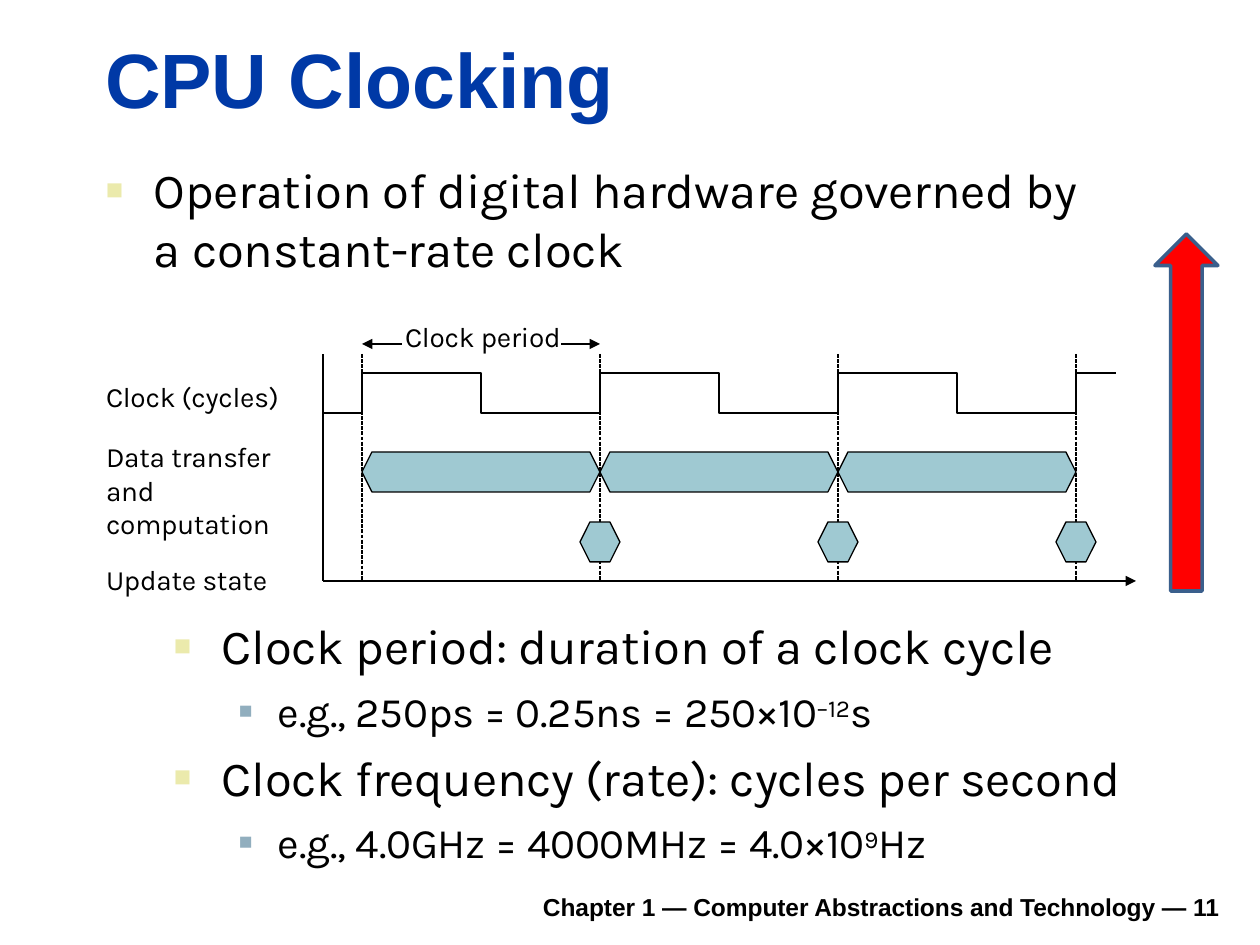
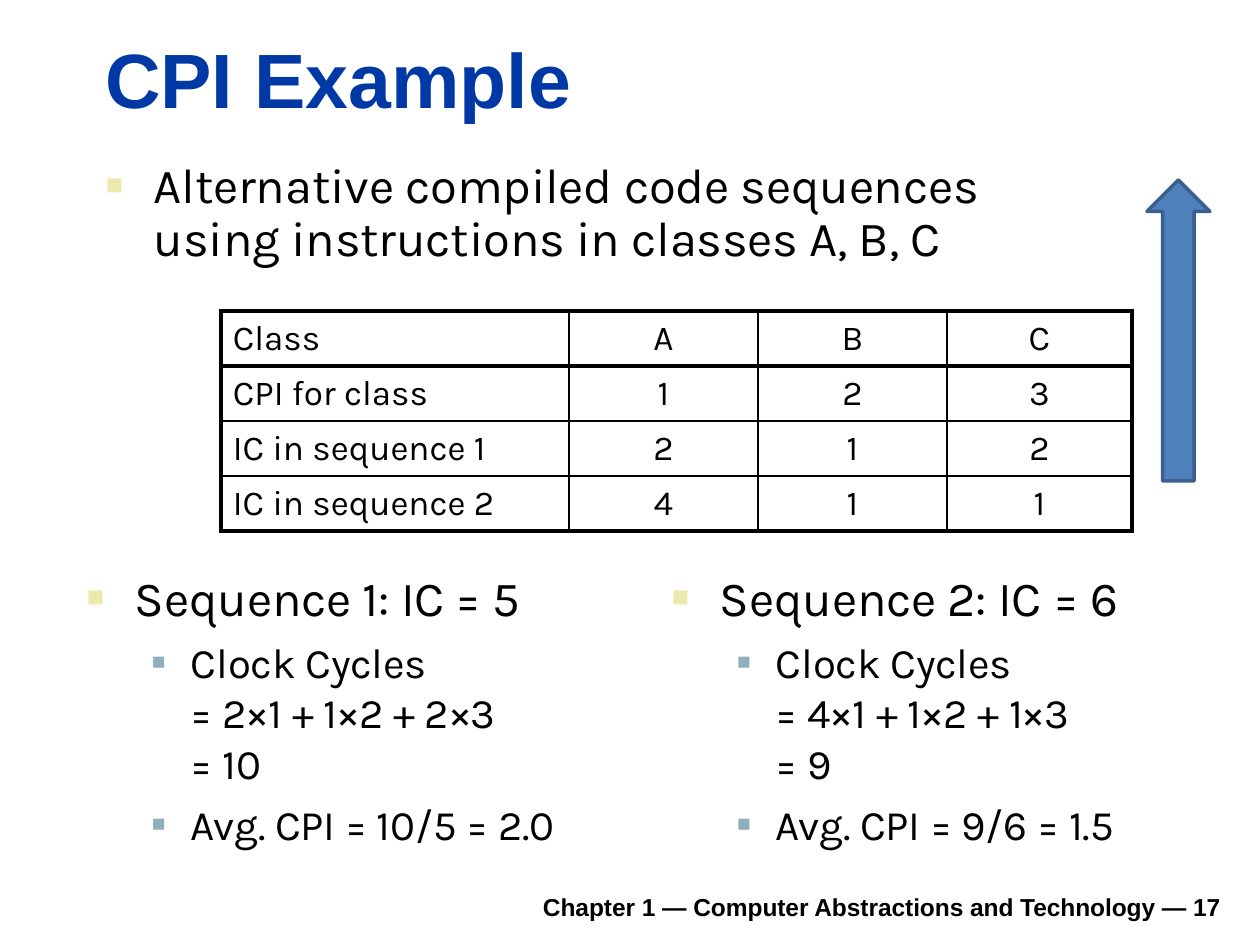
from dataclasses import dataclass

from lxml import etree
from pptx import Presentation
from pptx.dml.color import RGBColor
from pptx.enum.dml import MSO_LINE
from pptx.enum.shapes import MSO_CONNECTOR, MSO_SHAPE
from pptx.enum.text import MSO_ANCHOR, MSO_AUTO_SIZE, PP_ALIGN
from pptx.oxml.ns import qn
from pptx.util import Emu, Pt

SCALE = 914400 / 126


@dataclass(frozen=True)
class Theme:
    title_font: str = "Arial"
    body_font: str = "Karla"
    title_blue: str = "0039A6"
    ink: str = "000000"
    paper: str = "FFFFFF"
    signal_teal: str = "9FC9D2"
    arrow_red: str = "FF0000"
    arrow_blue: str = "4F81BD"
    arrow_edge: str = "3A5F8C"
    title_size: int = 44
    main_size: int = 28
    detail_size: int = 24
    table_size: int = 20
    label_size: int = 16
    footer_size: int = 14
    tracking: int = -10
    thin: float = 0.75
    rule: float = 1
    wave: float = 1.5
    heavy: float = 2.25


@dataclass(frozen=True)
class Level:
    size: int
    left: int
    hanging: int = 0
    bullet_color: str = ""
    bullet_percent: int = 0
    space_before: float = 0


THEME = Theme()
MAIN = Level(THEME.main_size, 49, 48, "EBEAAC", 59, 6.5)
DETAIL = Level(THEME.detail_size, 105, 39, "91AEBE", 54, 6)
CONTINUED = Level(THEME.detail_size, 105)


def px(length):
    return Emu(round(length * SCALE))


def px_box(*lengths):
    return [px(length) for length in lengths]


def apply_format(target, values):
    for name, value in values.items():
        setattr(target, name, value)


def add_run(paragraph, text, size, font=THEME.body_font, color=THEME.ink,
            bold=False, tracking=THEME.tracking, baseline=0):
    run = paragraph.add_run()
    run.text = text
    apply_format(run.font, {"name": font, "size": Pt(size), "bold": bold})
    run.font.color.rgb = RGBColor.from_string(color)
    properties = run.font._element
    properties.set("spc", str(tracking))
    if baseline:
        properties.set("baseline", str(baseline))


def set_frame(frame, top_margin=0):
    apply_format(frame, {
        "word_wrap": True, "auto_size": MSO_AUTO_SIZE.NONE,
        "vertical_anchor": MSO_ANCHOR.TOP,
        "margin_left": 0, "margin_right": 0, "margin_bottom": 0,
        "margin_top": px(top_margin)})
    return frame


def add_text_frame(slide, box, top_margin=0):
    return set_frame(slide.shapes.add_textbox(*px_box(*box)).text_frame, top_margin)


def next_paragraph(frame, index):
    return frame.add_paragraph() if index else frame.paragraphs[0]


def indent(paragraph, left, hanging=0, right=0):
    properties = paragraph._p.get_or_add_pPr()
    for name, length in (("marL", left), ("marR", right), ("indent", -hanging)):
        properties.set(name, str(px(length)))
    return properties


def add_bullet(properties, level):
    color = etree.SubElement(properties, qn("a:buClr"))
    etree.SubElement(color, qn("a:srgbClr"), val=level.bullet_color)
    etree.SubElement(properties, qn("a:buSzPct"), val=str(level.bullet_percent * 1000))
    etree.SubElement(properties, qn("a:buFont"), typeface=THEME.title_font)
    etree.SubElement(properties, qn("a:buChar"), char="■")


def add_outline(slide, box, items, top_margin, line_spacing=None):
    """Add (level, text) items; text between two ^ marks is raised."""
    frame = add_text_frame(slide, box, top_margin)
    for index, (level, text) in enumerate(items):
        paragraph = next_paragraph(frame, index)
        properties = indent(paragraph, level.left, level.hanging)
        if level.bullet_color:
            add_bullet(properties, level)
        if index:
            paragraph.space_before = Pt(level.space_before)
        if line_spacing:
            paragraph.line_spacing = Pt(line_spacing)
        for position, piece in enumerate(text.split("^")):
            add_run(paragraph, piece, level.size, baseline=24000 * (position % 2))


def style_shape(shape, fill=None, line=None, width=THEME.thin):
    shape.shadow.inherit = False
    if fill:
        shape.fill.solid()
        shape.fill.fore_color.rgb = RGBColor.from_string(fill)
    else:
        shape.fill.background()
    if line:
        shape.line.color.rgb = RGBColor.from_string(line)
        shape.line.width = Pt(width)
    else:
        shape.line.fill.background()


def add_shape(slide, kind, box, **style):
    style_shape(slide.shapes.add_shape(kind, *px_box(*box)), **style)


def add_line(slide, start, end, dashed=False, arrows=()):
    connector = slide.shapes.add_connector(MSO_CONNECTOR.STRAIGHT, *px_box(*start, *end))
    connector.line.color.rgb = RGBColor.from_string(THEME.ink)
    connector.line.width = Pt(THEME.thin)
    if dashed:
        connector.line.dash_style = MSO_LINE.SQUARE_DOT
    for arrow in arrows:
        etree.SubElement(connector.line._get_or_add_ln(), qn(f"a:{arrow}"), type="triangle")
    etree.SubElement(connector._element.spPr, qn("a:effectLst"))


def add_slide(presentation, title, title_width, number):
    """Add a slide with the shared title and chapter footer."""
    slide = presentation.slides.add_slide(presentation.slide_layouts[5])
    placeholder = slide.shapes.title
    apply_format(placeholder, dict(zip(("left", "top", "width", "height"),
                                       px_box(105, 23, title_width, 96))))
    paragraph = set_frame(placeholder.text_frame, 9).paragraphs[0]
    paragraph.alignment = PP_ALIGN.LEFT
    add_run(paragraph, title, THEME.title_size, THEME.title_font,
            THEME.title_blue, bold=True, tracking=0)

    footer = add_text_frame(slide, (542, 893, 690, 32)).paragraphs[0]
    footer.line_spacing = Pt(16.5)
    indent(footer, 1)
    add_run(footer, f"Chapter 1 — Computer Abstractions and Technology — {number}",
            THEME.footer_size, THEME.title_font, bold=True, tracking=-5)
    return slide


def add_up_arrow(slide, box, fill):
    add_shape(slide, MSO_SHAPE.UP_ARROW, box, fill=fill, line=THEME.arrow_edge, width=2)


def add_clock_wave(slide, left, high, low, edges, period):
    builder = slide.shapes.build_freeform(left, low, scale=SCALE)
    points = []
    for edge in edges:
        points += [(edge, low), (edge, high)]
        if edge != edges[-1]:
            points += [(edge + period // 2, high), (edge + period // 2, low)]
    points.append((edges[-1] + 40, high))
    builder.add_line_segments(points, close=False)
    style_shape(builder.convert_to_shape(), line=THEME.ink, width=THEME.wave)


def add_timing_diagram(slide, left, top):
    period, height, signal = 238, 227, 40
    bottom = top + height
    edges = [left + 39 + period * cycle for cycle in range(4)]
    for edge in edges:
        add_line(slide, (edge, top), (edge, bottom), dashed=True)
    add_line(slide, (left, bottom), (left, top))
    add_line(slide, (left, bottom), (left + 813, bottom), arrows=["tailEnd"])
    add_line(slide, (edges[0], top - 10), (edges[1], top - 10),
             arrows=["headEnd", "tailEnd"])
    add_shape(slide, MSO_SHAPE.RECTANGLE, (edges[0] + 40, top - 20, 159, 20),
              fill=THEME.paper)
    add_clock_wave(slide, left, top + 19, top + 59, edges, period)
    teal = {"fill": THEME.signal_teal, "line": THEME.ink}
    for start, end in zip(edges, edges[1:]):
        add_shape(slide, MSO_SHAPE.HEXAGON, (start, top + 98, period, signal), **teal)
        add_shape(slide, MSO_SHAPE.HEXAGON,
                  (end - signal // 2, top + 168, signal, signal), **teal)


def add_timing_labels(slide, box):
    frame = add_text_frame(slide, box, 1)
    labels = [("Clock period", 300, 0, 0), ("Clock (cycles)", 1, 266, 15),
              ("Data transfer and computation", 1, 266, 15), ("Update state", 1, 266, 12.5)]
    for index, (text, left, right, space) in enumerate(labels):
        paragraph = next_paragraph(frame, index)
        indent(paragraph, left, right=right)
        if index:
            paragraph.space_before = Pt(space)
        add_run(paragraph, text, THEME.label_size)


def set_borders(cell, widths):
    properties = cell._tc.get_or_add_tcPr()
    for side, width in zip("LRTB", widths):
        line = etree.SubElement(properties, qn(f"a:ln{side}"), w=str(Pt(width)))
        fill = etree.SubElement(line, qn("a:solidFill"))
        etree.SubElement(fill, qn("a:srgbClr"), val=THEME.ink)


def add_class_table(slide, left, top):
    rows = [("Class", "A", "B", "C"), ("CPI for class", "1", "2", "3"),
            ("IC in sequence 1", "2", "1", "2"), ("IC in sequence 2", "4", "1", "1")]
    widths, row_height = (348, 189, 189, 185), 55
    table = slide.shapes.add_table(
        len(rows), len(widths),
        *px_box(left, top, sum(widths), row_height * len(rows))).table
    apply_format(table, {"first_row": False, "horz_banding": False})
    for column, width in zip(table.columns, widths):
        column.width = px(width)
    for row_index, values in enumerate(rows):
        table.rows[row_index].height = px(row_height)
        for column_index, value in enumerate(values):
            cell = table.cell(row_index, column_index)
            heavy_sides = (column_index == 0, column_index == len(widths) - 1,
                           row_index < 2, row_index in (0, len(rows) - 1))
            set_borders(cell, [THEME.heavy if heavy else THEME.rule for heavy in heavy_sides])
            cell.fill.background()
            apply_format(cell, {
                "margin_left": px(0 if column_index else 12), "margin_right": 0,
                "margin_top": 0, "margin_bottom": 0,
                "vertical_anchor": MSO_ANCHOR.MIDDLE})
            paragraph = cell.text_frame.paragraphs[0]
            paragraph.alignment = PP_ALIGN.CENTER if column_index else PP_ALIGN.LEFT
            add_run(paragraph, value, THEME.table_size, tracking=0)


def add_sequence(slide, box, number, count, cycles, total, average):
    add_outline(slide, box, [
        (MAIN, f"Sequence {number}: IC = {count}"),
        (DETAIL, "Clock Cycles"),
        (CONTINUED, f"= {cycles}"),
        (CONTINUED, f"= {total}"),
        (DETAIL, f"Avg. CPI = {total}/{count} = {average}")], top_margin=14)


def build_clocking_slide(presentation):
    slide = add_slide(presentation, "CPU Clocking", 513, 11)
    add_timing_diagram(slide, 323, 354)
    add_outline(slide, (105, 159, 1005, 121), [
        (MAIN, "Operation of digital hardware governed by a constant-rate clock")], 1)
    add_timing_labels(slide, (105, 319, 462, 290))
    add_outline(slide, (173, 602, 960, 266), [
        (MAIN, "Clock period: duration of a clock cycle"),
        (DETAIL, "e.g., 250ps = 0.25ns = 250×10^–12^s"),
        (MAIN, "Clock frequency (rate): cycles per second"),
        (DETAIL, "e.g., 4.0GHz = 4000MHz = 4.0×10^9^Hz")], 14)
    add_up_arrow(slide, (1155, 234, 63, 357), THEME.arrow_red)


def build_example_slide(presentation):
    slide = add_slide(presentation, "CPI Example", 470, 17)
    add_outline(slide, (105, 152, 994, 115), [
        (MAIN, "Alternative compiled code sequences using instructions in classes A, B, C")],
        9, line_spacing=30.2)
    add_class_table(slide, 221, 311)
    add_sequence(slide, (86, 553, 506, 296), 1, 5, "2×1 + 1×2 + 2×3", 10, "2.0")
    add_sequence(slide, (671, 553, 506, 296), 2, 6, "4×1 + 1×2 + 1×3", 9, "1.5")
    add_up_arrow(slide, (1147, 180, 63, 301), THEME.arrow_blue)


def main():
    presentation = Presentation()
    apply_format(presentation, {"slide_width": px(1260), "slide_height": px(945)})
    build_clocking_slide(presentation)
    build_example_slide(presentation)
    presentation.save("out.pptx")


if __name__ == "__main__":
    main()
